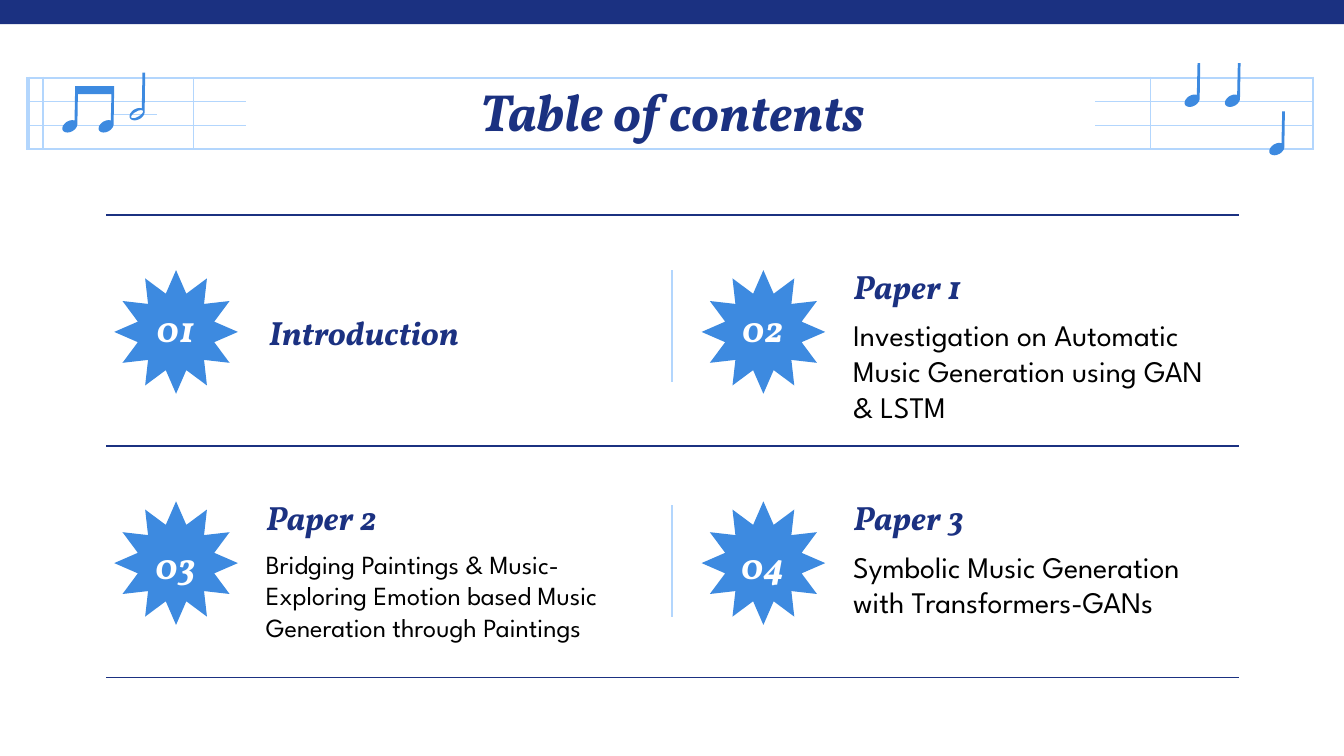
import math
from dataclasses import dataclass

import pptx
import pptx.dml.color
import pptx.enum.shapes
import pptx.enum.text
import pptx.oxml.ns
import pptx.util
from lxml import etree

RGBColor = pptx.dml.color.RGBColor
NAVY = RGBColor(0x1B, 0x31, 0x81)
BLUE = RGBColor(0x3D, 0x8A, 0xE0)
PALE_BLUE = RGBColor(0xB3, 0xD6, 0xFD)
WHITE = RGBColor(0xFF, 0xFF, 0xFF)
BLACK = RGBColor(0x00, 0x00, 0x00)

SERIF = "Vollkorn"
SANS = "League Spartan"
ANCHOR = pptx.enum.text.MSO_ANCHOR
ALIGN = pptx.enum.text.PP_ALIGN
Inches = pptx.util.Inches

SLIDE_WIDTH = 10
SLIDE_HEIGHT = SLIDE_WIDTH * 9 / 16

# Grid of entries
GRID_LEFT, GRID_RIGHT, GRID_TOP = 0.79, 9.22, 1.6
COLUMN_STEP, ROW_STEP = 4.37, 1.72
STAR_SIZE = 0.92
TEXT_WIDTH = 2.97

# Staff behind the title
STAFF_LEFT, STAFF_RIGHT = 0.21, 9.77
STAFF_TOP, STAFF_BOTTOM = 0.58, 1.11
STAFF_GAP = (STAFF_BOTTOM - STAFF_TOP) / 3
STAFF_SIDE = 1.62

# Note heads, and the drawing units of an outline in an inch
HEAD_LONG, HEAD_SHORT, HEAD_TILT = 0.06, 0.04, math.radians(30)
STEM_INNER, STEM_OUTER = 0.04, 0.06
UNITS = 1000

Point = tuple[float, float]


@dataclass(frozen=True)
class Entry:
    column: int
    row: int
    number: str
    heading: str
    description: str = ""
    description_size: int = 16
    heading_shift: Point = (0, 0)
    number_top: float = 0.58


ENTRIES = [
    Entry(0, 0, "01", "Introduction", heading_shift=(0.02, 0.34)),
    Entry(1, 0, "02", "Paper 1", "Investigation on Automatic Music Generation using GAN & LSTM"),
    Entry(0, 1, "03", "Paper 2",
          "Bridging Paintings & Music-Exploring Emotion based Music Generation through Paintings",
          description_size=14, number_top=0.62),
    Entry(1, 1, "04", "Paper 3", "Symbolic Music Generation with Transformers-GANs",
          number_top=0.62),
]


def place(shape, left: float, top: float, width: float, height: float) -> None:
    shape.left, shape.top = Inches(left), Inches(top)
    shape.width, shape.height = Inches(width), Inches(height)


def write(shape, text: str, *, size: float, color: RGBColor, font: str = SERIF,
          bold: bool = True, italic: bool = True, align=ALIGN.LEFT, anchor=ANCHOR.TOP) -> None:
    frame = shape.text_frame
    frame.word_wrap = True
    frame.auto_size = pptx.enum.text.MSO_AUTO_SIZE.NONE
    frame.vertical_anchor = anchor
    frame.margin_left = frame.margin_right = Inches(0.1)
    frame.margin_top = frame.margin_bottom = Inches(0.1)
    frame.text = text
    paragraph = frame.paragraphs[0]
    properties = paragraph._p.get_or_add_pPr()
    properties.set("marL", "0")
    properties.set("indent", "0")
    etree.SubElement(properties, pptx.oxml.ns.qn("a:buNone"))
    paragraph.alignment = align
    paragraph.space_before = pptx.util.Pt(0)
    run_font = paragraph.runs[0].font
    run_font.name, run_font.size = font, pptx.util.Pt(size)
    run_font.bold, run_font.italic = bold, italic
    run_font.color.rgb = color


def add_text(slide, text: str, left: float, top: float, width: float, height: float,
             **text_format) -> None:
    box = slide.shapes.add_textbox(0, 0, 0, 0)
    place(box, left, top, width, height)
    write(box, text, **text_format)


def paint(shape, color: RGBColor) -> None:
    shape.shadow.inherit = False
    shape.fill.solid()
    shape.fill.fore_color.rgb = color
    shape.line.fill.background()


def add_line(slide, start: Point, end: Point, color: RGBColor = PALE_BLUE,
             width: float = 0.75) -> None:
    line = slide.shapes.add_connector(pptx.enum.shapes.MSO_CONNECTOR.STRAIGHT,
                                      *map(Inches, start + end))
    line.line.color.rgb = color
    line.line.width = pptx.util.Pt(width)
    etree.SubElement(line._element.spPr, pptx.oxml.ns.qn("a:effectLst"))


def tilted_ellipse(x: float, y: float, long: float, short: float,
                   first: int = 0, last: int = -350) -> list[Point]:
    points = []
    for degrees in range(first, last - 1, -10):
        along = long * math.cos(math.radians(degrees))
        across = short * math.sin(math.radians(degrees))
        points.append((x + along * math.cos(HEAD_TILT) + across * math.sin(HEAD_TILT),
                       y - along * math.sin(HEAD_TILT) + across * math.cos(HEAD_TILT)))
    return points


def note_head(x: float, y: float) -> list[Point]:
    """Outline of a head from the inner to the outer edge of its stem."""
    return tilted_ellipse(x, y, HEAD_LONG, HEAD_SHORT, -30, -340)


def stemmed_note(x: float, y: float, top: float) -> list[Point]:
    return [(x + STEM_INNER, top), *note_head(x, y), (x + STEM_OUTER, top)]


def beamed_notes(first_x: float, second_x: float, y: float, top: float,
                 beam: float) -> list[Point]:
    return [(first_x + STEM_INNER, top), *note_head(first_x, y),
            (first_x + STEM_OUTER, top + beam), (second_x + STEM_INNER, top + beam),
            *note_head(second_x, y), (second_x + STEM_OUTER, top)]


def add_outline(slide, *contours: list[Point]) -> None:
    scaled = [[(x * UNITS, y * UNITS) for x, y in contour] for contour in contours]
    builder = slide.shapes.build_freeform(*scaled[0][0], scale=Inches(1) / UNITS)
    builder.add_line_segments(scaled[0][1:])
    for contour in scaled[1:]:
        builder.move_to(*contour[0])
        builder.add_line_segments(contour[1:])
    paint(builder.convert_to_shape(), BLUE)


def add_staff(slide) -> None:
    for y in (STAFF_TOP, STAFF_BOTTOM):
        add_line(slide, (STAFF_LEFT, y), (STAFF_RIGHT, y))
    for y in (STAFF_TOP + STAFF_GAP, STAFF_BOTTOM - STAFF_GAP):
        add_line(slide, (STAFF_LEFT, y), (STAFF_LEFT + STAFF_SIDE, y))
        add_line(slide, (STAFF_RIGHT - STAFF_SIDE, y), (STAFF_RIGHT, y))
    for x, width in ((STAFF_LEFT, 2.25), (0.32, 1.5), (1.44, 0.75), (8.56, 0.75),
                     (STAFF_RIGHT, 0.75)):
        add_line(slide, (x, STAFF_TOP - 0.01), (x, STAFF_BOTTOM + 0.01), width=width)


def add_notes(slide) -> None:
    add_outline(slide, beamed_notes(0.52, 0.79, 0.94, 0.64, beam=0.06))
    add_line(slide, (0.85, 0.85), (1.17, 0.85))
    add_outline(slide, stemmed_note(1.02, 0.85, 0.54), tilted_ellipse(1.02, 0.85, 0.05, 0.02))
    for x, y in ((8.87, 0.75), (9.17, 0.75), (9.5, 1.11)):
        add_outline(slide, stemmed_note(x, y, y - 0.28))


def add_entry(slide, entry: Entry, heading) -> None:
    left = GRID_LEFT + entry.column * COLUMN_STEP
    top = GRID_TOP + entry.row * ROW_STEP
    star = slide.shapes.add_shape(pptx.enum.shapes.MSO_SHAPE.STAR_12_POINT, 0, 0, 0, 0)
    place(star, left + 0.06, top + 0.41, STAR_SIZE, STAR_SIZE)
    star.adjustments[0] = 0.32
    paint(star, BLUE)
    add_text(slide, entry.number, left - 0.01, top + entry.number_top, 1.05, 0.52,
             size=20, color=WHITE, align=ALIGN.CENTER, anchor=ANCHOR.MIDDLE)

    shift_x, shift_y = entry.heading_shift
    place(heading, left + 1.09 + shift_x, top + 0.32 + shift_y, TEXT_WIDTH, 0.46)
    write(heading, entry.heading, size=18, color=NAVY, anchor=ANCHOR.BOTTOM)
    if entry.description:
        add_text(slide, entry.description, left + 1.09, top + 0.66, TEXT_WIDTH, 0.74,
                 size=entry.description_size, color=BLACK, font=SANS, bold=False, italic=False)


def main() -> None:
    presentation = pptx.Presentation()
    presentation.slide_width = Inches(SLIDE_WIDTH)
    presentation.slide_height = Inches(SLIDE_HEIGHT)
    slide = presentation.slides.add_slide(presentation.slide_layouts.get_by_name("Comparison"))
    title, *headings = list(slide.placeholders)[:5]

    band = slide.shapes.add_shape(pptx.enum.shapes.MSO_SHAPE.RECTANGLE, 0, 0, 0, 0)
    place(band, 0, 0, SLIDE_WIDTH, 0.18)
    paint(band, NAVY)
    add_staff(slide)
    place(title, 2.38, 0.49, 5.25, 0.63)
    write(title, "Table of contents", size=28, color=NAVY, align=ALIGN.CENTER)

    for entry, heading in zip(ENTRIES, headings):
        add_entry(slide, entry, heading)
    for row in range(3):
        y = GRID_TOP + row * ROW_STEP
        add_line(slide, (GRID_LEFT, y), (GRID_RIGHT, y), NAVY)
    for top in (2.01, 3.76):
        add_line(slide, (SLIDE_WIDTH / 2, top), (SLIDE_WIDTH / 2, top + 0.83))
    add_notes(slide)
    presentation.save("out.pptx")


if __name__ == "__main__":
    main()
